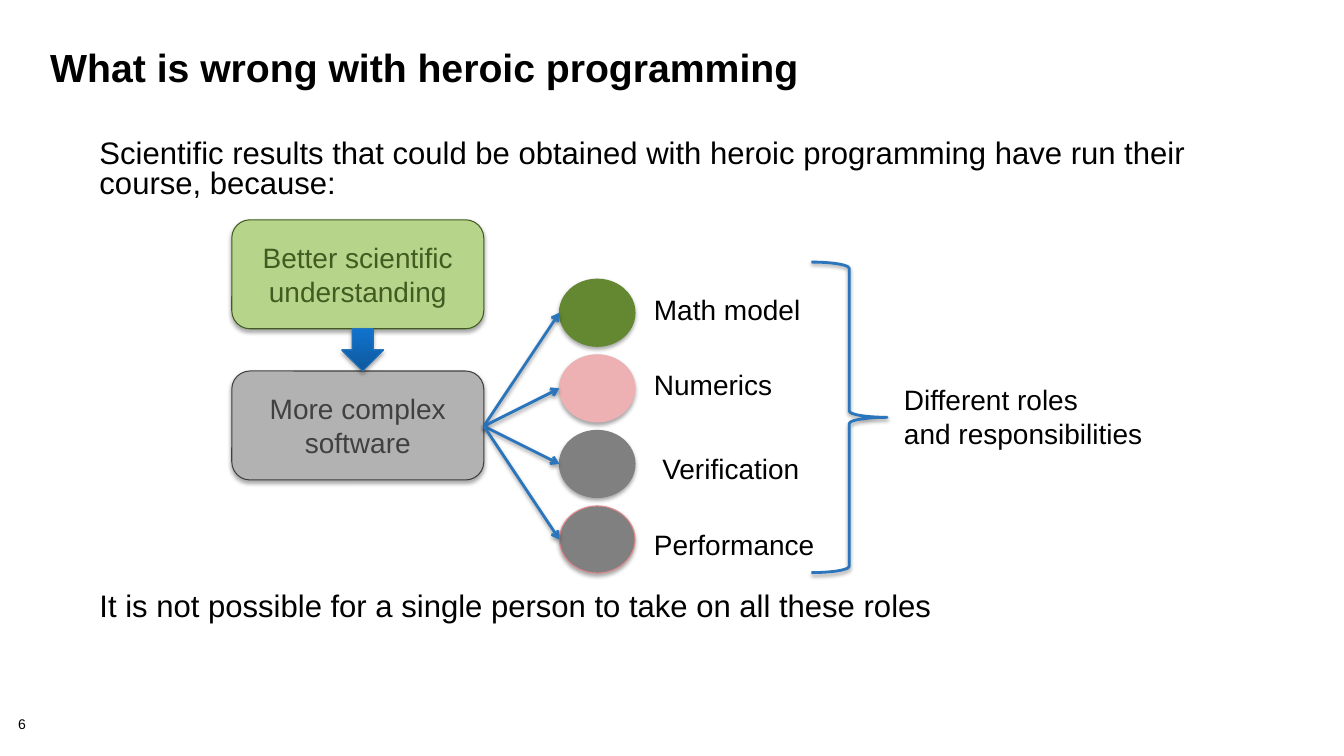
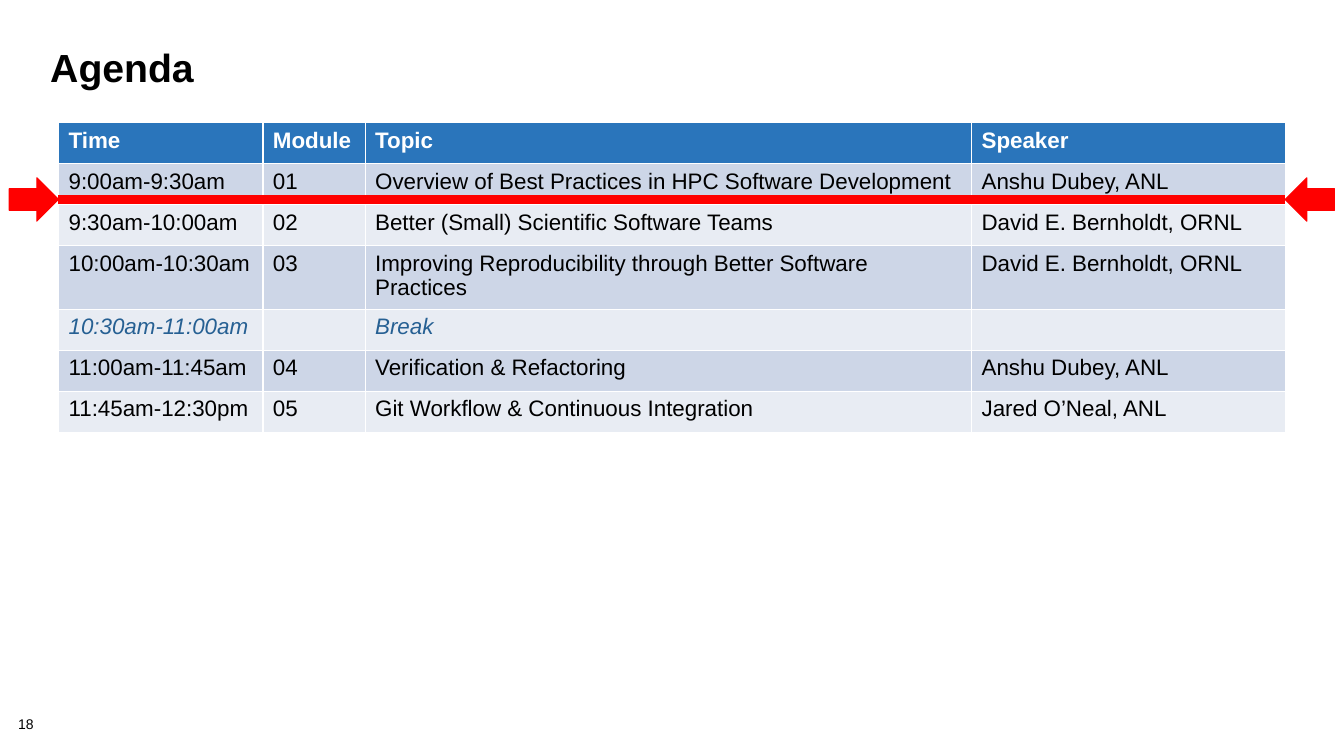
from lxml.etree import SubElement
from pptx import Presentation
from pptx.dml.color import RGBColor
from pptx.enum.shapes import MSO_CONNECTOR, MSO_SHAPE
from pptx.enum.text import MSO_ANCHOR, PP_ALIGN
from pptx.oxml.ns import qn
from pptx.util import Pt

# Shared look
FONT = "Arial"
BLACK = RGBColor(0x00, 0x00, 0x00)
WHITE = RGBColor(0xFF, 0xFF, 0xFF)
BLUE = RGBColor(0x2A, 0x75, 0xBB)
ARROW_EDGE = RGBColor(0x26, 0x73, 0xBA)
ARROW_DARK = RGBColor(0x0F, 0x58, 0x9C)
ARROW_LIGHT = RGBColor(0x10, 0x73, 0xCF)
BREAK_BLUE = RGBColor(0x26, 0x60, 0x93)
PALE_GREEN = RGBColor(0xB6, 0xD5, 0x8B)
DARK_GREEN = RGBColor(0x42, 0x5B, 0x20)
GREEN = RGBColor(0x63, 0x88, 0x31)
PINK = RGBColor(0xED, 0xB0, 0xB3)
ROSE = RGBColor(0xE3, 0x88, 0x8C)
GRAY = RGBColor(0x80, 0x80, 0x80)
LIGHT_GRAY = RGBColor(0xB2, 0xB2, 0xB2)
DARK_GRAY = RGBColor(0x40, 0x40, 0x40)
RED = RGBColor(0xFF, 0x00, 0x00)
ROW_BANDS = (RGBColor(0xCD, 0xD6, 0xE7), RGBColor(0xE8, 0xEC, 0xF3))

TITLE_BOX = (28.8, 32.4, 896, 72)
NUMBER_BOX = (13, 512.6, 40, 11.5)
BODY_LEFT, BODY_WIDTH = 64, 803.5
BODY_SIZE, LABEL_SIZE = 22.2, 20

# Slide 1: label, fill, outline, label shift right and down
ROLES = [
    ("Math model", GREEN, GREEN, 0, 0),
    ("Numerics", PINK, PINK, 0, 0),
    ("Verification", GRAY, GRAY, 6, 6),
    ("Performance", GRAY, ROSE, 0, 6),
]

# Slide 2
COLUMN_WIDTHS = (146, 73, 433.2, 224)
ROW_HEIGHT, TALL_ROW_HEIGHT, TALL_ROW = 29.3, 45.6, 3
AGENDA = [
    ("Time", "Module", "Topic", "Speaker"),
    ("9:00am-9:30am", "01", "Overview of Best Practices in HPC Software Development",
     "Anshu Dubey, ANL"),
    ("9:30am-10:00am", "02", "Better (Small) Scientific Software Teams",
     "David E. Bernholdt, ORNL"),
    ("10:00am-10:30am", "03", "Improving Reproducibility through Better Software Practices",
     "David E. Bernholdt, ORNL"),
    ("10:30am-11:00am", "", "Break", ""),
    ("11:00am-11:45am", "04", "Verification & Refactoring", "Anshu Dubey, ANL"),
    ("11:45am-12:30pm", "05", "Git Workflow & Continuous Integration", "Jared O’Neal, ANL"),
]


def points(*lengths):
    return [Pt(length) for length in lengths]


def style_paragraph(paragraph, size, color=BLACK, bold=False, italic=False):
    font = paragraph.font
    font.name, font.size, font.bold, font.italic = FONT, Pt(size), bold, italic
    font.color.rgb = color


def add_text(slide, box, lines, size, bold=False, spacing=None, inset=True):
    frame = slide.shapes.add_textbox(*points(*box)).text_frame
    frame.word_wrap = True
    if not inset:
        frame.margin_left = frame.margin_right = frame.margin_top = frame.margin_bottom = 0
    frame.text = "\n".join(lines)
    for paragraph in frame.paragraphs:
        paragraph.line_spacing = spacing
        style_paragraph(paragraph, size, bold=bold)


def set_shadow(shape, opacity=0, distance=0):
    """Give a soft shadow below the shape, or none at zero opacity."""
    properties = shape._element.spPr
    effects = properties.find(qn("a:effectLst"))
    if effects is None:
        effects = SubElement(properties, qn("a:effectLst"))
    if opacity:
        shadow = SubElement(effects, qn("a:outerShdw"), blurRad=str(Pt(3.1)),
                            dist=str(Pt(distance)), dir="5400000", rotWithShape="0")
        color = SubElement(shadow, qn("a:srgbClr"), val=str(BLACK))
        SubElement(color, qn("a:alpha"), val=str(opacity * 1000))


def add_shape(slide, kind, box, fill, line, width=0.75):
    shape = slide.shapes.add_shape(kind, *points(*box))
    shape.shadow.inherit = False
    if fill is None:
        shape.fill.background()
    else:
        shape.fill.solid()
        shape.fill.fore_color.rgb = fill
    shape.line.color.rgb = line
    shape.line.width = Pt(width)
    return shape


def add_line(slide, start, end, color, width):
    line = slide.shapes.add_connector(MSO_CONNECTOR.STRAIGHT, *points(*start, *end))
    line.line.color.rgb = color
    line.line.width = Pt(width)
    return line


def add_base_slide(presentation, title, number):
    slide = presentation.slides.add_slide(presentation.slide_layouts[6])
    add_text(slide, NUMBER_BOX, [number], 10, spacing=0.9, inset=False)
    add_text(slide, TITLE_BOX, [title], 28, bold=True, spacing=0.85)
    return slide


def add_cause_boxes(slide, box):
    left, top, width, height = box
    box_height = 77.8
    causes = [
        ("Better scientific understanding", PALE_GREEN, DARK_GREEN, top),
        ("More complex software", LIGHT_GRAY, DARK_GRAY, top + height - box_height),
    ]
    for text, fill, ink, box_top in causes:
        shape = add_shape(slide, MSO_SHAPE.ROUNDED_RECTANGLE,
                          (left, box_top, width, box_height), fill, ink)
        set_shadow(shape, 35, 1.8)
        frame = shape.text_frame
        frame.word_wrap = True
        frame.vertical_anchor = MSO_ANCHOR.MIDDLE
        frame.text = text
        frame.paragraphs[0].alignment = PP_ALIGN.CENTER
        style_paragraph(frame.paragraphs[0], LABEL_SIZE, ink)

    # Gradient arrow between the two boxes
    gap = height - 2 * box_height
    arrow = add_shape(slide, MSO_SHAPE.DOWN_ARROW,
                      (left + 78.4, top + box_height, 30, gap), BLUE, ARROW_EDGE)
    arrow.fill.gradient()
    arrow.fill.gradient_angle = 90
    for stop, color in zip(arrow.fill.gradient_stops, (ARROW_DARK, ARROW_LIGHT)):
        stop.color.rgb = color
    set_shadow(arrow, 35, 1.8)


def add_roles(slide, box, source):
    left, top, width, height = box
    circle_width, circle_height = 54, 48
    pitch = (height - circle_height) / (len(ROLES) - 1)
    for index, (label, fill, line, shift_x, shift_y) in enumerate(ROLES):
        circle_top = top + index * pitch
        circle = add_shape(slide, MSO_SHAPE.OVAL,
                           (left, circle_top, circle_width, circle_height), fill, line)
        set_shadow(circle, 35, 1.8)
        arrow = add_line(slide, source, (left, circle_top + circle_height / 2), BLUE, 2)
        SubElement(arrow._element.spPr.find(qn("a:ln")), qn("a:tailEnd"), type="arrow")
        set_shadow(arrow, 38, 1.6)
        label_left = left + 60.4 + shift_x
        add_text(slide, (label_left, circle_top + 5.8 + shift_y, width - 60.4, 31.5),
                 [label], LABEL_SIZE)


def add_brace(slide, box):
    left, top, width, height = box
    brace = add_shape(slide, MSO_SHAPE.RIGHT_BRACE, (left, top, 54, height), None, BLUE, 2)
    set_shadow(brace, 38, 1.6)
    add_text(slide, (left + 59, top + 82.8, width - 59, 55.4),
             ["Different roles", "and responsibilities"], LABEL_SIZE)


def add_agenda_table(slide, box):
    table = slide.shapes.add_table(len(AGENDA), len(COLUMN_WIDTHS), *points(*box)).table
    for column, width in zip(table.columns, COLUMN_WIDTHS):
        column.width = Pt(width)
    for row_index, values in enumerate(AGENDA):
        is_header, is_break = row_index == 0, "Break" in values
        color = WHITE if is_header else BREAK_BLUE if is_break else BLACK
        row = table.rows[row_index]
        row.height = Pt(TALL_ROW_HEIGHT if row_index == TALL_ROW else ROW_HEIGHT)
        for cell, value in zip(row.cells, values):
            cell.fill.solid()
            cell.fill.fore_color.rgb = BLUE if is_header else ROW_BANDS[(row_index - 1) % 2]
            cell.text = value
            style_paragraph(cell.text_frame.paragraphs[0], 16, color, is_header, is_break)


def add_progress_marker(slide, box):
    left, top, width, height = box
    arrow_width = 35.2
    middle = top + height / 2
    right = left + width
    line = add_line(slide, (left + arrow_width, middle), (right - arrow_width, middle), RED, 6)
    set_shadow(line)
    for arrow_left, rotation in ((left, 0), (right - arrow_width, 180)):
        arrow = add_shape(slide, MSO_SHAPE.RIGHT_ARROW,
                          (arrow_left, top, arrow_width, height), RED, RED)
        arrow.rotation = rotation


def build_heroic_slide(presentation):
    slide = add_base_slide(presentation, "What is wrong with heroic programming", "6")
    add_text(slide, (BODY_LEFT, 97.2, BODY_WIDTH, 50),
             ["Scientific results that could be obtained with heroic programming "
              "have run their course, because:"], BODY_SIZE, spacing=0.8)
    add_cause_boxes(slide, (165.6, 157, 180, 185.8))
    add_roles(slide, (399.6, 199.4, 204.4, 210), source=(345.6, 304.4))
    add_brace(slide, (579.6, 187.2, 287, 221.8))
    add_text(slide, (BODY_LEFT, 420.5, BODY_WIDTH, 30),
             ["It is not possible for a single person to take on all these roles"],
             BODY_SIZE, spacing=0.8)


def build_agenda_slide(presentation):
    slide = add_base_slide(presentation, "Agenda", "18")
    add_agenda_table(slide, (41.8, 87.8, sum(COLUMN_WIDTHS), 221.4))
    add_progress_marker(slide, (6.6, 127, 946.6, 31))


def main():
    presentation = Presentation()
    presentation.slide_width, presentation.slide_height = Pt(960), Pt(540)
    build_heroic_slide(presentation)
    build_agenda_slide(presentation)
    presentation.save("out.pptx")


if __name__ == "__main__":
    main()
